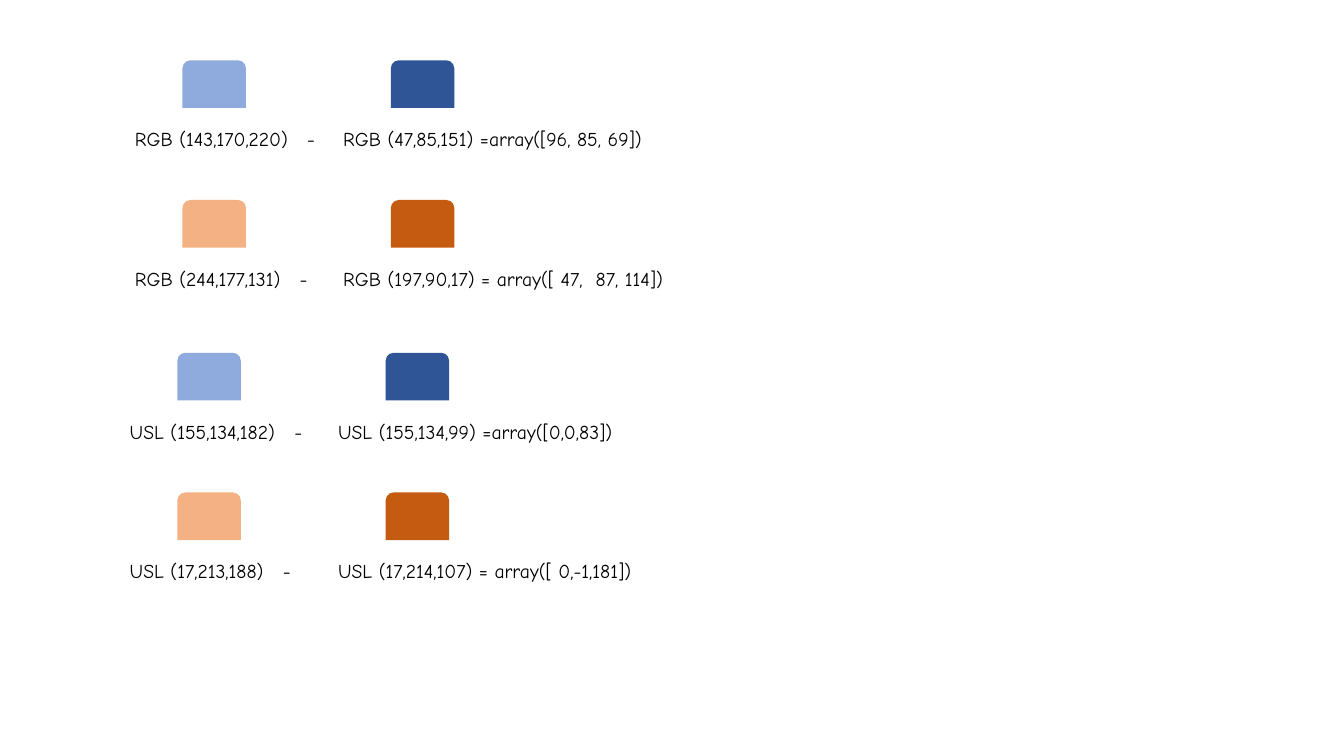
from dataclasses import dataclass
from lxml.etree import SubElement
from pptx import Presentation
from pptx.dml.color import RGBColor
from pptx.enum.shapes import MSO_SHAPE
from pptx.enum.text import MSO_AUTO_SIZE
from pptx.oxml.ns import qn
from pptx.util import Cm, Pt


@dataclass(frozen=True)
class Theme:
    font: str = "Comic Neue"
    text_size: int = 14
    text_color: str = "000000"
    light_blue: str = "8FAADC"
    dark_blue: str = "2F5597"
    light_orange: str = "F4B183"
    dark_orange: str = "C55A11"


def write_text(paragraph, text, *, font, size, color, tab_stop=None):
    run = paragraph.add_run()
    run.text = text
    run.font.name = font
    run.font.size = Pt(size)
    run.font.color.rgb = RGBColor.from_string(color)
    if tab_stop is not None:
        properties = paragraph._p.get_or_add_pPr()
        tab_list = SubElement(properties, qn("a:tabLst"))
        SubElement(tab_list, qn("a:tab"), pos=str(Cm(tab_stop)), algn="l")


class SlideBuilder:
    def __init__(self, slide, theme):
        self.slide = slide
        self.theme = theme

    def swatch(self, left, top, color):
        shape = self.slide.shapes.add_shape(
            MSO_SHAPE.ROUND_2_SAME_RECTANGLE, Cm(left), Cm(top), Cm(1.6), Cm(1.2))
        shape.shadow.inherit = False
        shape.fill.solid()
        shape.fill.fore_color.rgb = RGBColor.from_string(color)
        shape.line.fill.background()

    def label(self, left, top, width, text, tab_stop=None):
        text_box = self.slide.shapes.add_textbox(Cm(left), Cm(top), Cm(width), Cm(0.86))
        text_frame = text_box.text_frame
        text_frame.word_wrap = True
        text_frame.auto_size = MSO_AUTO_SIZE.SHAPE_TO_FIT_TEXT
        write_text(text_frame.paragraphs[0], text, font=self.theme.font,
                   size=self.theme.text_size, color=self.theme.text_color,
                   tab_stop=tab_stop)

    def comparison(self, left, top, colors, minuend, minus_offset, result, result_width):
        for column, color in enumerate(colors):
            self.swatch(left + SWATCH_INDENT + column * COLUMN_STEP, top, color)
        label_top = top + LABEL_DROP
        self.label(left, label_top, MINUEND_WIDTH, f"{minuend}\t-", minus_offset)
        self.label(left + COLUMN_STEP, label_top, result_width, result)


SWATCH_INDENT = 1.45
COLUMN_STEP = 5.25
ROW_STEP = 3.52
LABEL_DROP = 1.56
MINUEND_WIDTH = 5.59

theme = Theme()
presentation = Presentation()
presentation.slide_width = Cm(33.87)
presentation.slide_height = Cm(19.05)
blank_layout = presentation.slide_layouts[6]
builder = SlideBuilder(presentation.slides.add_slide(blank_layout), theme)

color_pairs = [
    (theme.light_blue, theme.dark_blue),
    (theme.light_orange, theme.dark_orange),
]
color_models = [
    (3.15, 1.52, [
        ("RGB (143,170,220)", 4.34, "RGB (47,85,151) =array([96, 85, 69])", 10.11),
        ("RGB (244,177,131)", 4.15, "RGB (197,90,17) = array([ 47,  87, 114])", 9.5),
    ]),
    (3.02, 8.89, [
        ("USL (155,134,182)", 4.15, "USL (155,134,99) =array([0,0,83])", 10.11),
        ("USL (17,213,188)", 3.86, "USL (17,214,107) = array([ 0,-1,181])", 11),
    ]),
]
for left, top, comparisons in color_models:
    for row, (colors, values) in enumerate(zip(color_pairs, comparisons)):
        builder.comparison(left, top + row * ROW_STEP, colors, *values)

presentation.save("out.pptx")
